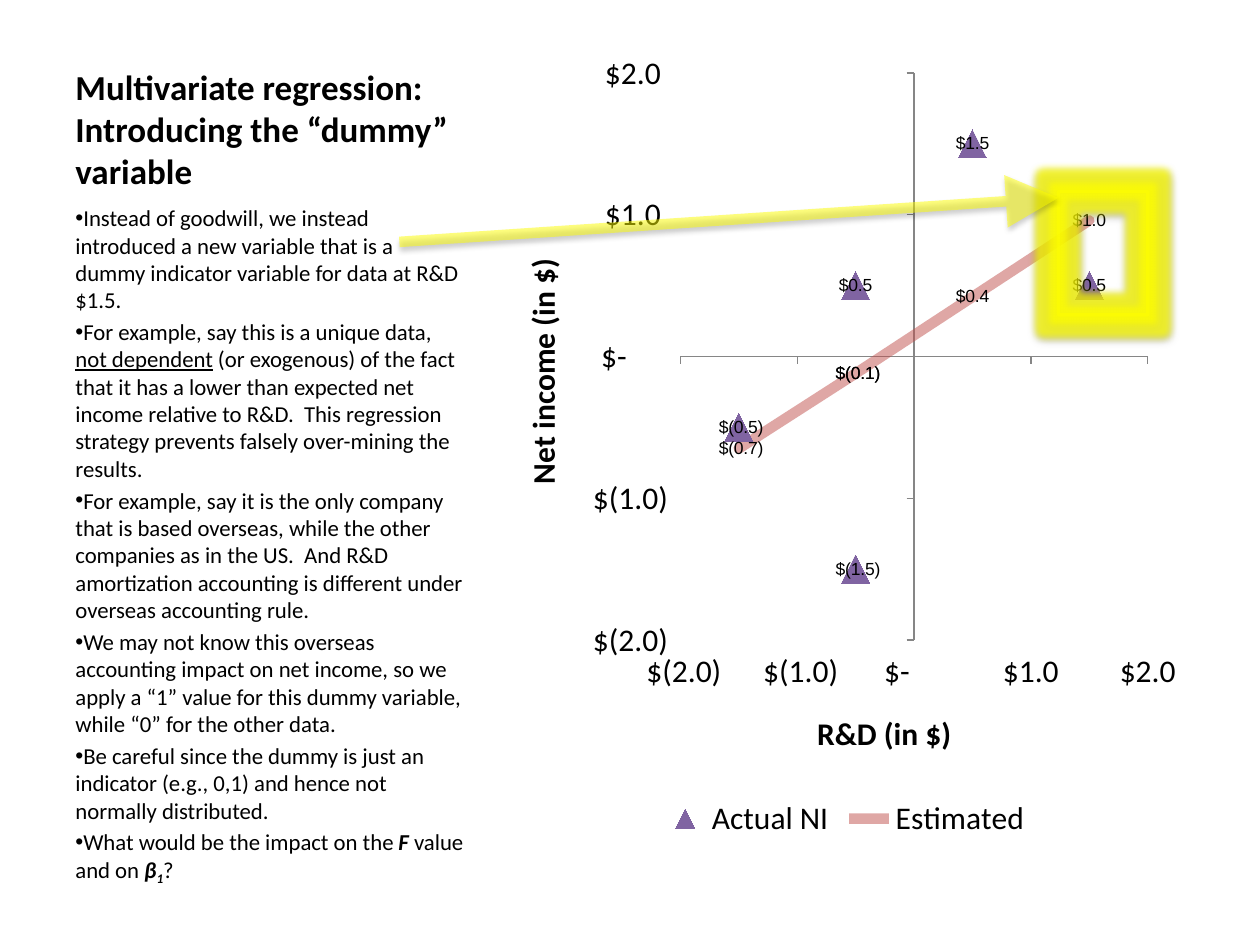
"""Build the dummy-variable regression slide with its scatter chart and callout."""
from lxml import etree
from pptx import Presentation
from pptx import util as u
from pptx.chart.data import XyChartData
from pptx.dml.color import RGBColor
from pptx.enum import chart as charts, shapes, text
from pptx.oxml import parse_xml
from pptx.oxml.ns import nsdecls, qn

THEME = {
    "font": "Calibri", "label_font": "Arial",
    "title": 20, "body": 13, "chart": 18, "label": 10,
    "ink": "000000", "axis": "868686", "actual": "8064A2",
    "estimated": "C0504D", "highlight": "FFFF00",
}
TITLE = "Multivariate regression:\vIntroducing the “dummy” variable"
STRONG = {"bold": True, "italic": True}
BULLETS = [
    [("Instead of goodwill, we instead introduced a new variable that is a dummy "
      "indicator variable for data at R&D $1.5.", {})],
    [("For example, say this is a unique data, ", {}),
     ("not dependent", {"underline": True}),
     (" (or exogenous) of the fact that it has a lower than expected net income relative "
      "to R&D.  This regression strategy prevents falsely over-mining the results.", {})],
    [("For example, say it is the only company that is based overseas, while the other "
      "companies as in the US.  And R&D amortization accounting is different under "
      "overseas accounting rule.", {})],
    [("We may not know this overseas accounting impact on net income, so we apply a “1” "
      "value for this dummy variable, while “0” for the other data.", {})],
    [("Be careful since the dummy is just an indicator (e.g., 0,1) and hence not "
      "normally distributed.", {})],
    [("What would be the impact on the ", {}), ("F", STRONG), (" value and on ", {}),
     ("β", STRONG), ("1", {**STRONG, "baseline": "-25000"}), ("?", {})],
]
RESEARCH = [-0.5, -1.5, -0.5, 1.5, 0.5]
INCOME = {
    "Actual NI": [-1.5, -0.5, 0.5, 0.5, 1.5],
    "Estimated": [-0.12, -0.65, -0.12, 0.96, 0.42],
}
DOLLARS = '_("$"* #,##0.0_);_("$"* \\(#,##0.0\\);_("$"* "-"??_);_(@_)'
TITLE_BOX = (0.5, 0.3, 3.29, 1.27)
BODY_BOX = (0.5, 1.57, 3.29, 5.13)
CHART_BOX = (3.91, 0.3, 5.59, 6.4)
HIGHLIGHT_BOX = (8.4, 1.52, 0.71, 0.98)
ARROW = (3.17, 1.92, 8.4, 1.57)
PLOT_BOX = (1.49, 0.28, 3.71, 4.5)
AXIS_TITLES = {"R&D (in $)": (2.53, 5.3), "Net income (in $)": (0.18, 1.71)}


def inches(values):
    return [u.Inches(value) for value in values]


def color(name):
    return RGBColor.from_string(THEME[name])


def set_font(font, size="chart", face="font", **values):
    values = {"size": u.Pt(THEME[size]), "name": THEME[face], **values}
    for name, value in values.items():
        setattr(font, name, value)
    font.color.rgb = color("ink")


def add_run(paragraph, words, size, baseline=None, **values):
    run = paragraph.add_run()
    run.text = words
    set_font(run.font, size, **values)
    if baseline:
        run.font._element.set("baseline", baseline)


def add_text_box(slide, box, anchor):
    frame = slide.shapes.add_textbox(*inches(box)).text_frame
    frame.word_wrap = True
    frame.vertical_anchor = anchor
    return frame


def add_bullets(frame):
    for index, runs in enumerate(BULLETS):
        paragraph = frame.add_paragraph() if index else frame.paragraphs[0]
        paragraph.space_before = u.Pt(0.2 * THEME["body"])
        properties = paragraph._p.get_or_add_pPr()
        properties.set("marL", "0")
        properties.set("indent", "0")
        etree.SubElement(properties, qn("a:buFont"), typeface=THEME["label_font"])
        etree.SubElement(properties, qn("a:buChar"), char="•")
        for words, values in runs:
            add_run(paragraph, words, "body", **values)


def set_line(line, name, points, alpha=None):
    line.color.rgb = color(name)
    line.width = u.Pt(points)
    if alpha:
        fill = line._get_or_add_ln().find(qn("a:solidFill"))
        etree.SubElement(fill[0], qn("a:alpha"), val=str(alpha * 1000))


def set_layout(parent, index, box, target=""):
    for old in parent.findall(qn("c:layout")):
        parent.remove(old)
    parts = target + '<c:xMode val="edge"/><c:yMode val="edge"/>'
    for key, value, whole in zip("xywh", box, CHART_BOX[2:] * 2):
        parts += f'<c:{key} val="{value / whole}"/>'
    parent.insert(index, parse_xml(
        f'<c:layout {nsdecls("c")}><c:manualLayout>{parts}</c:manualLayout></c:layout>'))


def format_axis(axis, title):
    values = {"minimum_scale": -2, "maximum_scale": 2, "major_unit": 1,
              "has_major_gridlines": False, "has_minor_gridlines": False,
              "major_tick_mark": charts.XL_TICK_MARK.OUTSIDE,
              "minor_tick_mark": charts.XL_TICK_MARK.NONE,
              "tick_label_position": charts.XL_TICK_LABEL_POSITION.LOW}
    for name, value in values.items():
        setattr(axis, name, value)
    axis.tick_labels.number_format = DOLLARS
    axis.tick_labels.number_format_is_linked = False
    set_font(axis.tick_labels.font)
    set_line(axis.format.line, "axis", 0.75)
    frame = axis.axis_title.text_frame
    add_run(frame.paragraphs[0], title, "chart", bold=True)
    set_layout(axis.axis_title._element, 1, AXIS_TITLES[title])
    return frame


def add_scatter(slide):
    data = XyChartData(number_format=DOLLARS)
    for name, incomes in INCOME.items():
        series = data.add_series(name)
        for point in zip(RESEARCH, incomes):
            series.add_data_point(*point)
    chart = slide.shapes.add_chart(
        charts.XL_CHART_TYPE.XY_SCATTER_LINES, *inches(CHART_BOX), data).chart
    chart.has_title = False
    set_font(chart.font)
    chart.has_legend = True
    chart.legend.position = charts.XL_LEGEND_POSITION.BOTTOM
    chart.legend.include_in_layout = False
    set_font(chart.legend.font)
    plot = chart.plots[0]
    plot.vary_by_categories = False
    actual, estimated = plot.series
    for series in (actual, estimated):
        series.smooth = False
        for index in range(len(RESEARCH)):
            label = series.points[index].data_label
            label.position = charts.XL_LABEL_POSITION.CENTER
            set_font(label.font, "label", "label_font")
    actual.format.line.fill.background()
    actual.marker.style = charts.XL_MARKER_STYLE.TRIANGLE
    actual.marker.size = 16
    actual.marker.format.fill.solid()
    actual.marker.format.fill.fore_color.rgb = color("actual")
    actual.marker.format.line.fill.background()
    estimated.marker.style = charts.XL_MARKER_STYLE.NONE
    set_line(estimated.format.line, "estimated", 6, 50)
    for axis, title in zip((chart.category_axis, chart.value_axis), AXIS_TITLES):
        frame = format_axis(axis, title)
    frame._txBody.bodyPr.set("rot", "-5400000")
    frame._txBody.bodyPr.set("vert", "horz")
    set_layout(chart._chartSpace.chart.plotArea, 0, PLOT_BOX,
               '<c:layoutTarget val="inner"/>')


def add_effects(shape, glow=""):
    shape._element.spPr.append(parse_xml(
        f'<a:effectLst {nsdecls("a")}>{glow}'
        '<a:outerShdw blurRad="40000" dist="20000" dir="5400000" rotWithShape="0">'
        '<a:srgbClr val="000000"><a:alpha val="38000"/></a:srgbClr>'
        '</a:outerShdw></a:effectLst>'))


def add_callout(slide):
    frame = slide.shapes.add_shape(shapes.MSO_SHAPE.RECTANGLE, *inches(HIGHLIGHT_BOX))
    frame.fill.background()
    set_line(frame.line, "highlight", 2, 50)
    add_effects(frame, f'<a:glow rad="101600"><a:srgbClr val="{THEME["highlight"]}">'
                       '<a:alpha val="75000"/></a:srgbClr></a:glow>')
    arrow = slide.shapes.add_connector(shapes.MSO_CONNECTOR.STRAIGHT, *inches(ARROW))
    set_line(arrow.line, "highlight", 6, 50)
    etree.SubElement(arrow.line._get_or_add_ln(), qn("a:tailEnd"),
                     type="triangle", w="lg", len="lg")
    add_effects(arrow)


def main():
    presentation = Presentation()
    presentation.slide_width, presentation.slide_height = inches((10, 7.5))
    slide = presentation.slides.add_slide(presentation.slide_layouts[6])
    title = add_text_box(slide, TITLE_BOX, text.MSO_ANCHOR.BOTTOM).paragraphs[0]
    for index, words in enumerate(TITLE.split("\v")):
        if index:
            title.add_line_break()
        add_run(title, words, "title", bold=True)
    add_bullets(add_text_box(slide, BODY_BOX, text.MSO_ANCHOR.TOP))
    add_scatter(slide)
    add_callout(slide)
    presentation.save("out.pptx")


if __name__ == "__main__":
    main()
